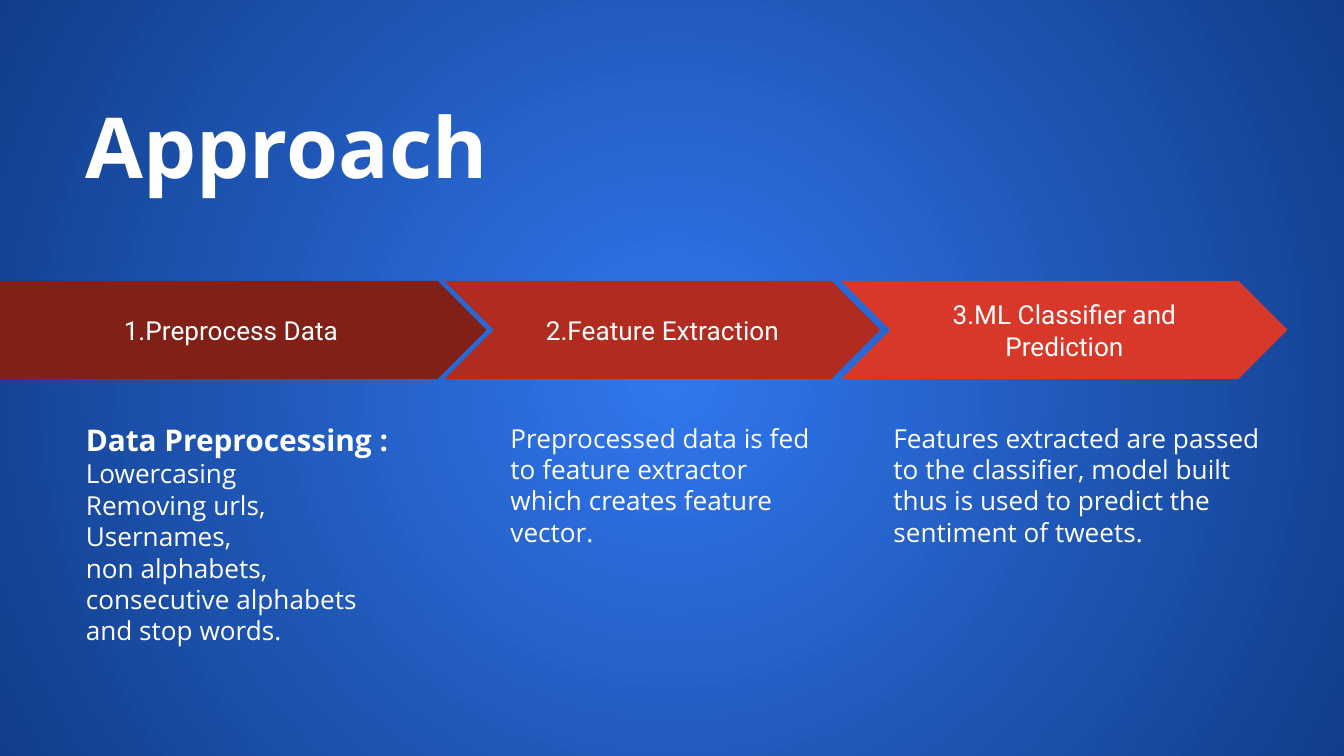
from lxml.etree import SubElement
from pptx import Presentation
from pptx.dml.color import RGBColor
from pptx.enum.shapes import MSO_SHAPE as Preset
from pptx.enum.text import MSO_ANCHOR as Anchor, PP_ALIGN as Align
from pptx.oxml.ns import qn
from pptx.util import Inches, Pt

WHITE = RGBColor(0xFF, 0xFF, 0xFF)
GLOW = RGBColor(0x31, 0x77, 0xEE)
NAVY = RGBColor(0x11, 0x3D, 0x8A)
DARK_RED = RGBColor(0x80, 0x20, 0x17)
MID_RED = RGBColor(0xB0, 0x2C, 0x20)
BRIGHT_RED = RGBColor(0xD8, 0x38, 0x29)

TITLE = "Approach"
STEPS = [
    ("1.Preprocess Data", Preset.PENTAGON, DARK_RED, 0, 3.62),
    ("2.Feature Extraction", Preset.CHEVRON, MID_RED, 3.31, 3.24),
    ("3.ML Classifier and Prediction", Preset.CHEVRON, BRIGHT_RED, 6.26, 3.32),
]
DETAILS = [
    (0.54, 2.48, 2.2, "Data Preprocessing :", [
        "Lowercasing",
        "Removing urls,",
        "Usernames,",
        "non alphabets,",
        "consecutive alphabets and stop words.",
    ]),
    (3.7, 2.47, 1.73, None, [
        "Preprocessed data is fed to feature extractor which creates feature vector.",
    ]),
    (6.55, 3.03, 1.17, None, [
        "Features extracted are passed to the classifier, model built "
        "thus is used to predict the sentiment of tweets.",
    ]),
]
MARGIN = 0.54
BAND_TOP, BAND_HEIGHT = 2.09, 0.73
DETAIL_TOP = 3.04


def write(shape, lines, font_name, anchor=Anchor.TOP, align=Align.LEFT):
    frame = shape.text_frame
    frame.word_wrap = True
    frame.vertical_anchor = anchor
    frame.margin_left = frame.margin_right = Inches(0.1)
    frame.margin_top = frame.margin_bottom = Inches(0.1)
    frame.text = "\n".join(text for text, size, bold in lines)
    for paragraph, (text, size, bold) in zip(frame.paragraphs, lines):
        paragraph.alignment = align
        paragraph.font.name = font_name
        paragraph.font.size = Pt(size)
        paragraph.font.bold = bold
        paragraph.font.color.rgb = WHITE


def add_text(slide, box, lines, anchor=Anchor.TOP):
    shape = slide.shapes.add_textbox(*map(Inches, box))
    write(shape, lines, "Open Sans", anchor)


def paint_background(slide):
    fill = slide.background.fill
    fill.gradient()
    for stop, color in zip(fill.gradient_stops, (GLOW, NAVY)):
        stop.color.rgb = color
    gradient = next(slide.element.iter(qn("a:gradFill")))
    gradient.remove(gradient.find(qn("a:lin")))
    circle = SubElement(gradient, qn("a:path"), path="circle")
    SubElement(circle, qn("a:fillToRect"), {side: "50000" for side in "ltrb"})


presentation = Presentation()
presentation.slide_width = Inches(10)
presentation.slide_height = presentation.slide_width * 9 // 16
slide = presentation.slides.add_slide(presentation.slide_layouts[6])
paint_background(slide)

add_text(slide, (MARGIN, 0.49, 7.61, 1.17), [(TITLE, 45, True)], Anchor.MIDDLE)

for label, preset, color, left, width in STEPS:
    box = (left, BAND_TOP, width, BAND_HEIGHT)
    step = slide.shapes.add_shape(preset, *map(Inches, box))
    step.adjustments[0] = 0.5
    step.shadow.inherit = False
    step.fill.solid()
    step.fill.fore_color.rgb = color
    step.line.fill.background()
    write(step, [(label, 14, False)], "Roboto", Anchor.MIDDLE, Align.CENTER)

for left, width, height, heading, body in DETAILS:
    lines = [(heading, 16, True)] if heading else []
    lines += [(text, 14, False) for text in body]
    add_text(slide, (left, DETAIL_TOP, width, height), lines)

presentation.save("out.pptx")
